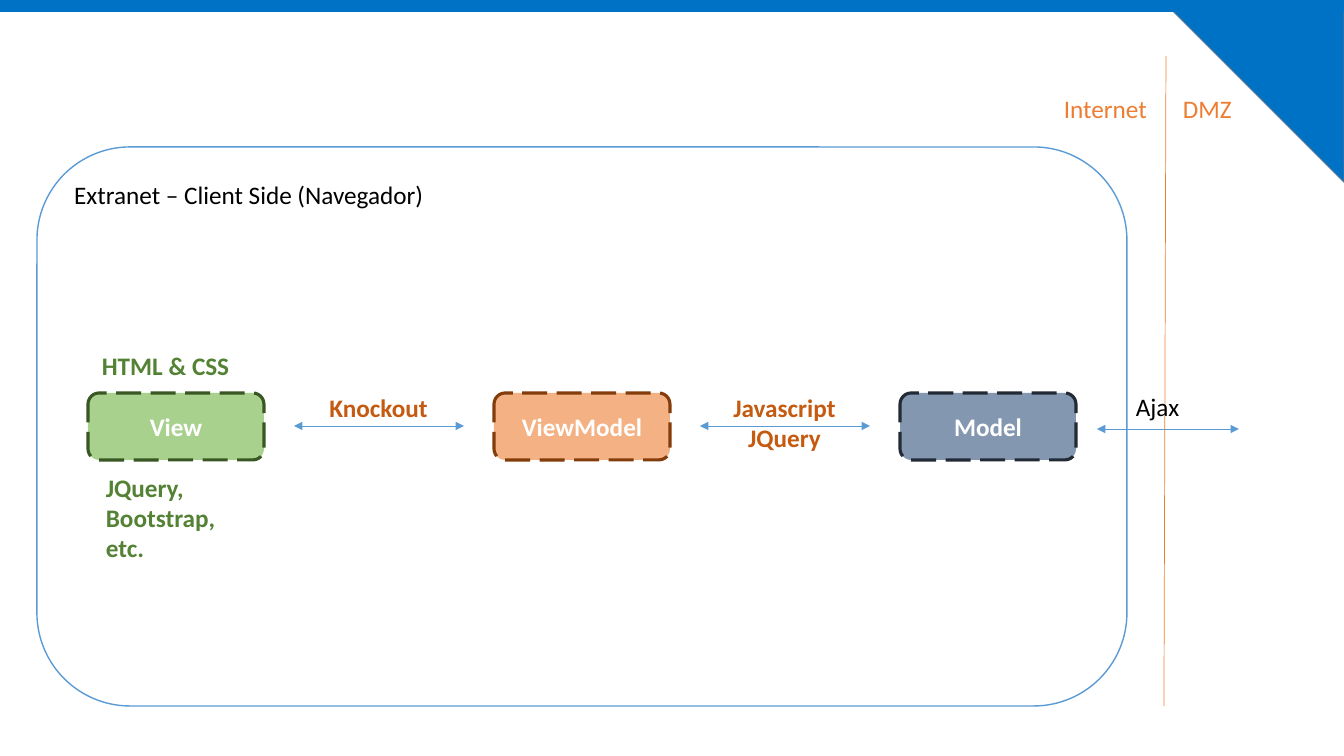
"""Builds the slide showing the client-side MVVM architecture of the extranet."""
from lxml import etree
from pptx import Presentation
from pptx import util as u
from pptx.dml.color import RGBColor
from pptx.enum import dml, shapes, text
from pptx.oxml.ns import qn

PX = 914400 / 100.8
COLORS = {
    "band": "0072C5", "band_line": "43739E", "blue": "5B9BD5", "orange": "ED7D31",
    "white": "FFFFFF", "black": "000000", "green_text": "548235", "rust_text": "C55A11",
    "view": "A9D18E", "view_line": "385723", "viewmodel": "F4B183",
    "viewmodel_line": "843C0B", "model": "8497B0", "model_line": "222A35",
}
STEP = 406

prs = Presentation()
prs.slide_width, prs.slide_height = round(1344 * PX), round(756 * PX)
s = prs.slides.add_slide(prs.slide_layouts[6])


def add_box(kind, box, fill=None, line=None, width=1):
    box = [round(v * PX) for v in box]
    if kind is None:
        return s.shapes.add_textbox(*box)
    sp = s.shapes.add_shape(kind, *box)
    sp.shadow.inherit = False
    sp.fill.solid()
    sp.fill.fore_color.rgb = RGBColor.from_string(COLORS[fill])
    if line:
        sp.line.color.rgb = RGBColor.from_string(COLORS[line])
        sp.line.width = u.Pt(width)
    else:
        sp.line.fill.background()
    return sp


def write(sp, lines, color, bold=False, align=text.PP_ALIGN.LEFT,
          anchor=text.MSO_ANCHOR.TOP, wrap=True):
    tf = sp.text_frame
    tf.word_wrap = wrap
    tf.vertical_anchor = anchor
    for i, line in enumerate(lines):
        p = tf.add_paragraph() if i else tf.paragraphs[0]
        p.alignment = align
        r = p.add_run()
        r.text = line
        r.font.name = "Calibri"
        r.font.size = u.Pt(18)
        r.font.bold = bold
        r.font.color.rgb = RGBColor.from_string(COLORS[color])


corner = add_box(shapes.MSO_SHAPE.RIGHT_TRIANGLE, (1162, 0, 182, 182), "band", "band_line")
corner.rotation = 180
add_box(shapes.MSO_SHAPE.RECTANGLE, (0, 0, 1344, 12), "band")

client = add_box(shapes.MSO_SHAPE.ROUNDED_RECTANGLE, (37, 147, 1090, 559), "white", "blue")
write(client, ["Extranet – Client Side (Navegador)"], "black")

for i, name in enumerate(["View", "ViewModel", "Model"]):
    key = name.lower()
    layer = add_box(shapes.MSO_SHAPE.ROUNDED_RECTANGLE, (88 + i * STEP, 393, 176, 67),
                    key, key + "_line", 2.25)
    layer.line.dash_style = dml.MSO_LINE.LONG_DASH
    write(layer, [name], "white", True, text.PP_ALIGN.CENTER, text.MSO_ANCHOR.MIDDLE)

for x1, y1, x2, y2, color, arrows in [
    (294, 426, 464, 426, "blue", True),
    (294 + STEP, 426, 464 + STEP, 426, "blue", True),
    (1097, 429, 1239, 429, "blue", True),
    (1166, 56, 1164, 706, "orange", False),
]:
    ends = [round(v * PX) for v in (x1, y1, x2, y2)]
    cn = s.shapes.add_connector(shapes.MSO_CONNECTOR.STRAIGHT, *ends)
    cn.line.color.rgb = RGBColor.from_string(COLORS[color])
    cn.line.width = u.Pt(0.5)
    spPr = cn._element.spPr
    etree.SubElement(spPr, qn("a:effectLst"))
    if arrows:
        for tag in ("a:headEnd", "a:tailEnd"):
            etree.SubElement(spPr.find(qn("a:ln")), qn(tag), type="triangle")

LEFT, CENTER = text.PP_ALIGN.LEFT, text.PP_ALIGN.CENTER
for box, lines, color, bold, align, wrap in [
    ((92, 345, 167, 40), ["HTML & CSS"], "green_text", True, LEFT, True),
    ((96, 467, 167, 102), ["JQuery, Bootstrap, etc."], "green_text", True, LEFT, True),
    ((315, 387, 127, 40), ["Knockout"], "rust_text", True, CENTER, True),
    ((315 + STEP, 387, 127, 71), ["Javascript", "JQuery"], "rust_text", True, CENTER, True),
    ((1126, 386, 68, 40), ["Ajax"], "black", False, LEFT, False),
    ((1054, 88, 104, 40), ["Internet"], "orange", False, LEFT, False),
    ((1173, 88, 70, 40), ["DMZ"], "orange", False, LEFT, False),
]:
    label = add_box(None, box)
    write(label, lines, color, bold, align, wrap=wrap)
    label.text_frame.auto_size = text.MSO_AUTO_SIZE.SHAPE_TO_FIT_TEXT

prs.save("out.pptx")
